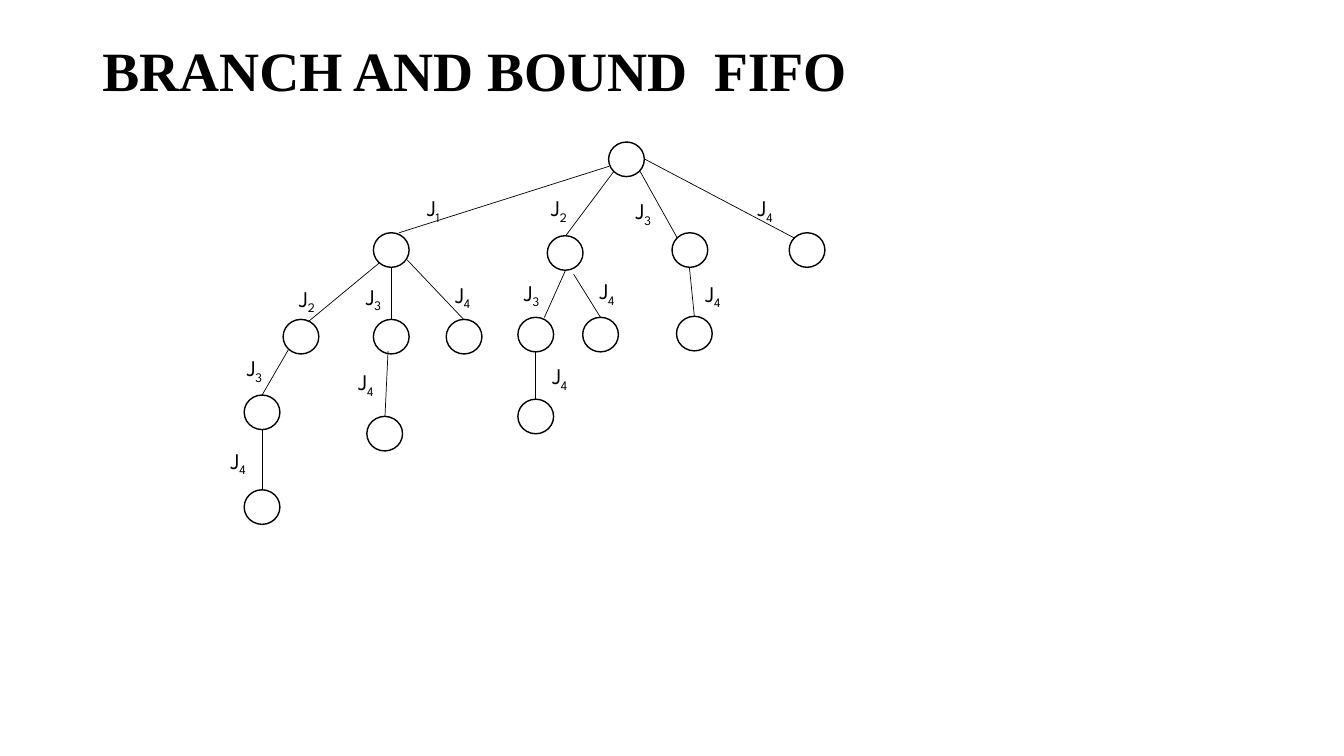
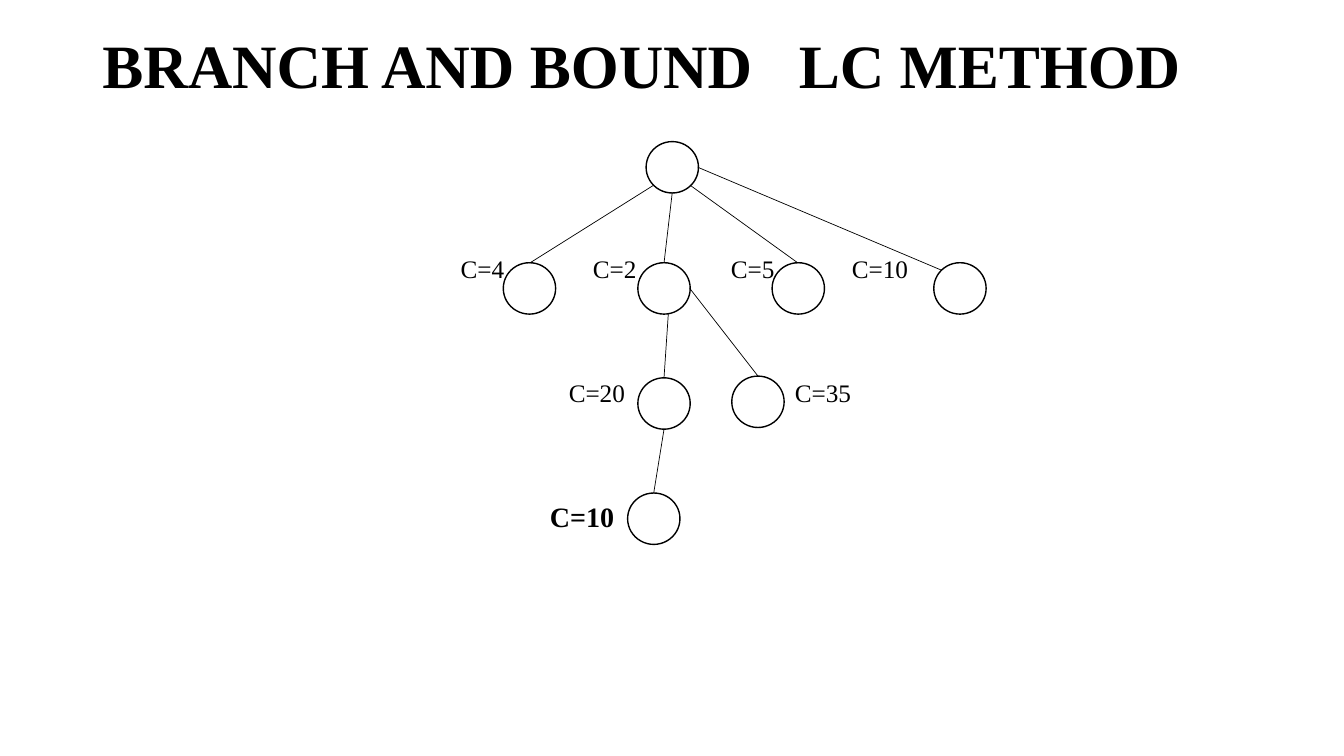
from dataclasses import dataclass

from lxml import etree
from pptx import Presentation
from pptx.dml.color import RGBColor
from pptx.enum import shapes, text
from pptx.oxml import ns
from pptx.util import Pt

INK, PAPER = "000000", "FFFFFF"
SERIF, SANS = "Times New Roman", "League Spartan"
Point = tuple[float, float]


@dataclass(frozen=True)
class Tag:
    """Label beside a node, with an optional subscript."""
    at: Point
    main: str
    sub: str = ""
    bold: bool = False
    size: float = 18


@dataclass(frozen=True)
class Node:
    """Circle centre and the two ends of the line from its parent."""
    mid: Point
    start: Point | None = None
    end: Point | None = None


@dataclass(frozen=True)
class Tree:
    """One slide: a title in two parts and a search tree."""
    title: str
    size: float
    stop: float  # where the second part of the title starts
    mid: float  # vertical centre of the title
    node: Point  # circle width and height
    box: Point  # label width and height
    font: str
    nodes: list[Node]
    tags: list[Tag]


def hue(code: str) -> RGBColor:
    return RGBColor.from_string(code)


def apply(item, style: dict) -> None:
    for name, value in style.items():
        setattr(item, name, value)


def add_box(slide, at: Point, size: Point, **style):
    """Add a wrapped text box and return its first paragraph."""
    frame = slide.shapes.add_textbox(*map(Pt, at + size)).text_frame
    apply(frame, {"word_wrap": True, **style})
    para = frame.paragraphs[0]
    para.line_spacing = 0.9
    return para


def add_run(para, words: str, font: str, size: float, bold: bool):
    run = para.add_run()
    run.text = words
    apply(run.font, {"name": font, "size": Pt(size), "bold": bold})
    run.font.color.rgb = hue(INK)
    return run


def add_title(slide, tree: Tree) -> None:
    high = 60
    para = add_box(slide, (66, tree.mid - high / 2), (828, high),
                   vertical_anchor=text.MSO_ANCHOR.MIDDLE)
    tabs = etree.SubElement(para._p.get_or_add_pPr(), ns.qn("a:tabLst"))
    etree.SubElement(tabs, ns.qn("a:tab"), pos=str(Pt(tree.stop)), algn="l")
    add_run(para, tree.title, SERIF, tree.size, True)


def add_node(slide, node: Node, size: Point) -> None:
    (x, y), (wide, high) = node.mid, size
    dot = slide.shapes.add_shape(
        shapes.MSO_SHAPE.OVAL, Pt(x - wide / 2), Pt(y - high / 2), Pt(wide), Pt(high))
    dot.shadow.inherit = False
    dot.fill.solid()
    dot.fill.fore_color.rgb = hue(PAPER)
    dot.line.color.rgb = hue(INK)
    dot.line.width = Pt(1)


def add_link(slide, start: Point, end: Point) -> None:
    link = slide.shapes.add_connector(
        shapes.MSO_CONNECTOR.STRAIGHT, *map(Pt, start + end))
    link.line.color.rgb = hue(INK)
    link.line.width = Pt(0.5)
    etree.SubElement(link._element.spPr, ns.qn("a:effectLst"))


def add_tag(slide, tag: Tag, tree: Tree) -> None:
    para = add_box(slide, tag.at, tree.box,
                   auto_size=text.MSO_AUTO_SIZE.SHAPE_TO_FIT_TEXT)
    add_run(para, tag.main, tree.font, tag.size, tag.bold)
    if tag.sub:
        low = add_run(para, tag.sub, tree.font, tag.size, tag.bold)
        low._r.get_or_add_rPr().set("baseline", "-25000")


def add_tree(deck, tree: Tree) -> None:
    slide = deck.slides.add_slide(deck.slide_layouts[6])
    add_title(slide, tree)
    for node in tree.nodes:
        add_node(slide, node, tree.node)
    for node in tree.nodes:
        if node.start and node.end:
            add_link(slide, node.start, node.end)
    for tag in tree.tags:
        add_tag(slide, tag, tree)


def job(x: float, y: float, num: int) -> Tag:
    return Tag((x, y), "J", str(num), size=16)


# Job tree, level by level
FIFO = Tree(
    "BRANCH AND BOUND\tFIFO", 39.6, 437, 52.2, (25.5, 24.7), (33, 24.5), SANS,
    [
        Node((447.5, 113.8)),
        Node((279.5, 178.6), (435, 118.8), (285, 166.3)),
        Node((403.7, 180.7), (438.5, 122.4), (404, 168.5)),
        Node((492.8, 178.6), (457.2, 122.4), (483.8, 170)),
        Node((576.5, 178.6), (460.8, 113.8), (567.4, 170)),
        Node((215, 240.5), (270.7, 188), (220.3, 229.7)),
        Node((279.5, 240.5), (279.5, 191.5), (279.5, 228.2)),
        Node((331.5, 240.5), (291, 185.8), (331.2, 228.2)),
        Node((382.7, 239), (404, 193), (388.8, 226.8)),
        Node((429, 239), (409.7, 195.8), (429, 226.8)),
        Node((496, 238.3), (492.5, 191.5), (496, 226)),
        Node((187.2, 294.5), (206, 249.8), (187.2, 282.2)),
        Node((274.8, 309.8), (277.2, 250.6), (275, 297.4)),
        Node((382.7, 297.5), (382.7, 251.3), (382.7, 285)),
        Node((187.2, 362.2), (187.2, 306.7), (187.2, 350)),
    ],
    [
        job(298, 135.4, 1), job(386.6, 135.4, 2), job(447, 137.5, 3), job(534.2, 135.4, 4),
        job(206.6, 200.2, 2), job(254.2, 198.7, 3), job(318.2, 197.3, 4),
        job(367.2, 195.8, 3), job(421.2, 195, 4), job(496.8, 196.6, 4),
        job(169.2, 249.8, 3), job(249, 260, 4), job(387.4, 255.6, 4),
        job(157.7, 316, 4),
    ])

# Cost tree, level by level
COST = Tree(
    "BRANCH AND BOUND\tLC METHOD", 44, 497.5, 49, (37.4, 36.7), (66, 26), SERIF,
    [
        Node((480.2, 119.5)),
        Node((378.2, 206), (466.6, 132.5), (378.2, 188)),
        Node((474.3, 206), (480.2, 137.5), (474.3, 188)),
        Node((570.2, 206), (493.2, 132.5), (570.2, 188)),
        Node((685.7, 206), (498.5, 119.5), (672.5, 193)),
        Node((474.3, 288.2), (477.4, 224), (474.3, 270)),
        Node((541.4, 287), (492.7, 206), (541.4, 268.6)),
        Node((467, 370.5), (474.3, 306.7), (467, 352)),
    ],
    [
        Tag((322, 179.6), "C=4"), Tag((416.4, 179.6), "C=2"),
        Tag((515, 179.6), "C=5"), Tag((601.4, 179.6), "C=10"),
        Tag((399.2, 268.2), "C=20"), Tag((560.7, 268.2), "C=35"),
        Tag((385.7, 356), "C=10", bold=True, size=20),
    ])


def main() -> None:
    deck = Presentation()
    apply(deck, {"slide_width": Pt(960), "slide_height": Pt(540)})
    for tree in (FIFO, COST):
        add_tree(deck, tree)
    deck.save("out.pptx")


if __name__ == "__main__":
    main()
